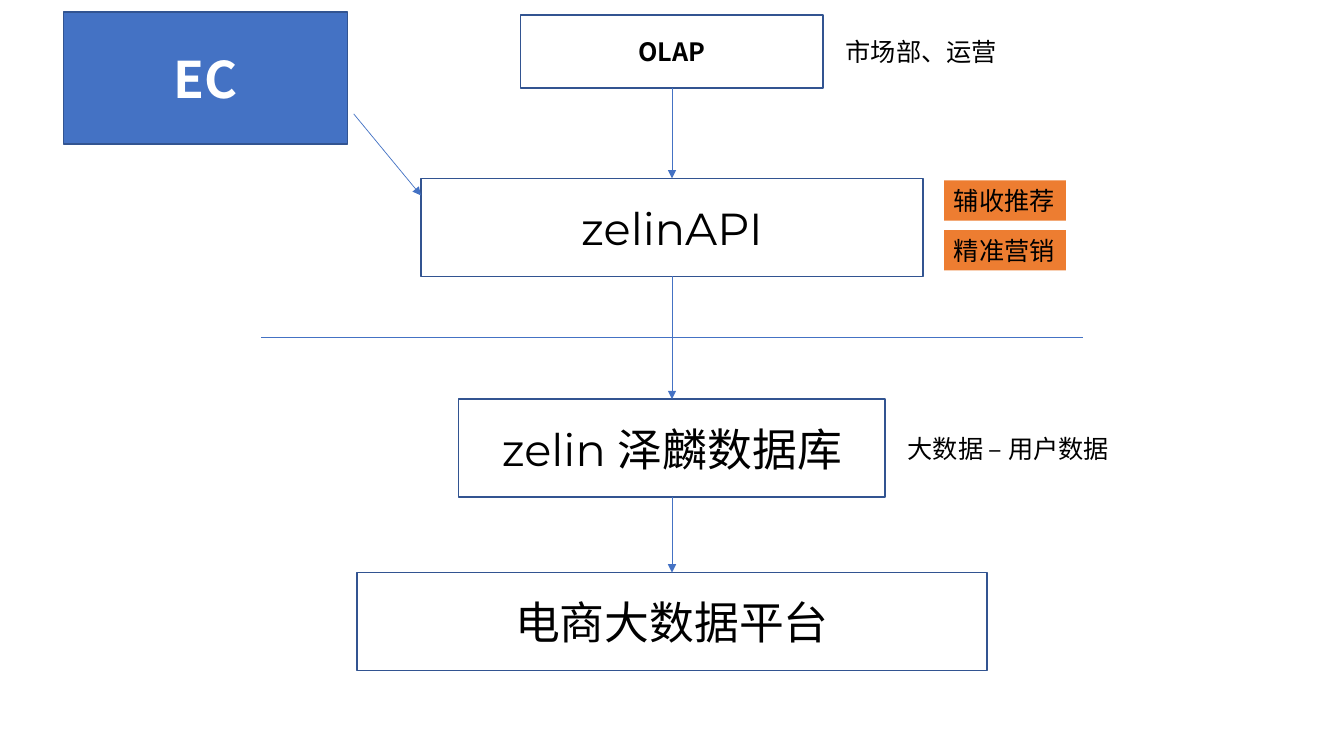
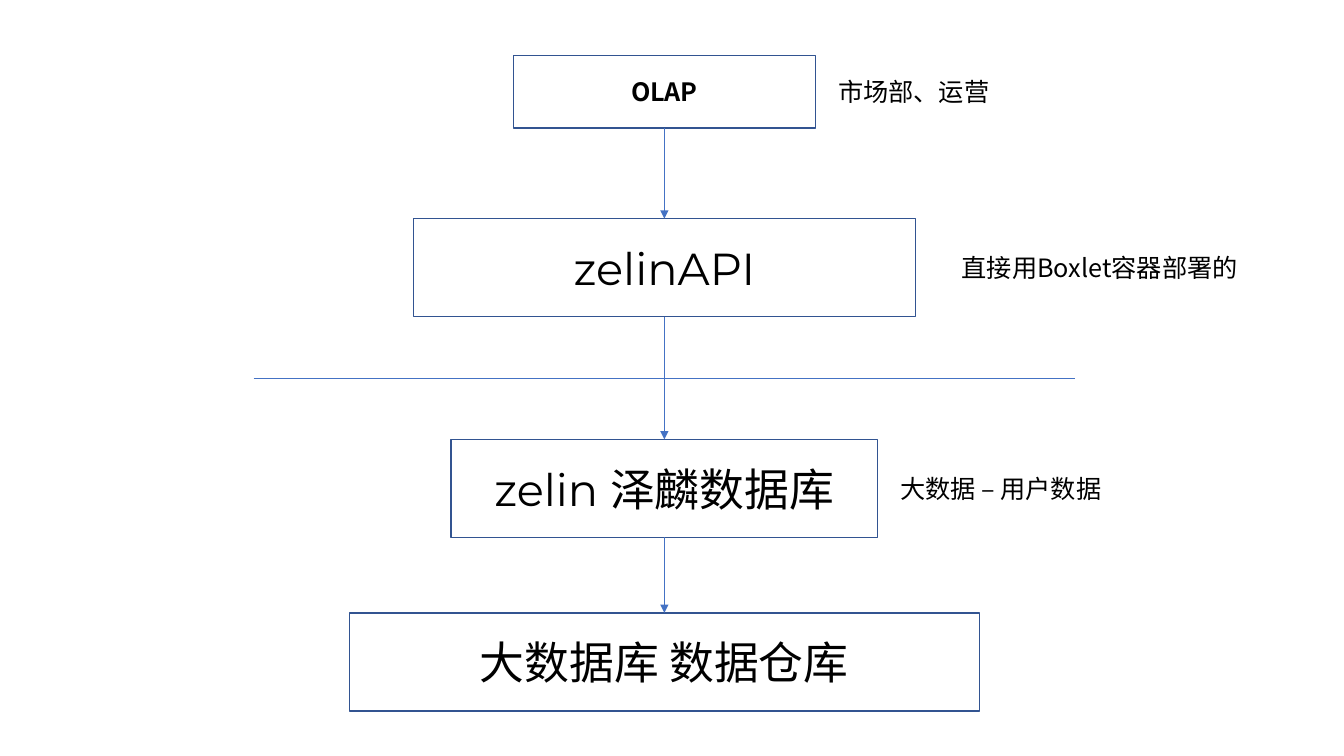
import pptx
import pptx.util
import pptx.dml.color
import pptx.enum.shapes
import pptx.enum.text
import pptx.oxml.ns
from lxml import etree

Pt = pptx.util.Pt
qn = pptx.oxml.ns.qn
MIDDLE = pptx.enum.text.MSO_ANCHOR.MIDDLE
CENTER = pptx.enum.text.PP_ALIGN.CENTER
LEFT = pptx.enum.text.PP_ALIGN.LEFT

BLACK, WHITE = "000000", "FFFFFF"
BLUE, NAVY, ORANGE = "4472C4", "325491", "ED7D31"
SANS, DISPLAY = "Noto Sans CJK SC", "Montserrat"
NOTE_HEIGHT = 28.8
TOP, BOTTOM = 0, 2  # connection sites of a rectangle

# Each tier: top within the stack, width, height
TIERS = {
    "olap": (0, 216, 52),
    "api": (116.6, 358.6, 70),
    "database": (274.3, 304.6, 70),
    "platform": (398.2, 450, 70),
}


def color(hex_code):
    """Turn a hex string into a colour."""
    return pptx.dml.color.RGBColor.from_string(hex_code)


def write(shape, text, size=18, font=SANS, ink=BLACK, bold=False,
          align=LEFT, anchor=pptx.enum.text.MSO_ANCHOR.TOP, wrap=True):
    """Put formatted text in a shape."""
    frame = shape.text_frame
    frame.word_wrap = wrap
    frame.vertical_anchor = anchor
    paragraph = frame.paragraphs[0]
    paragraph.alignment = align
    run = paragraph.add_run()
    run.text = text
    run.font.size = Pt(size)
    run.font.name = font
    run.font.bold = bold
    run.font.color.rgb = color(ink)
    east_asian = etree.SubElement(run.font._element, qn("a:ea"))
    east_asian.set("typeface", SANS)


def rectangle(slide, left, top, width, height, text, fill=None, line=NAVY,
              **text_format):
    """Draw a rectangle holding text."""
    shape = slide.shapes.add_shape(
        pptx.enum.shapes.MSO_SHAPE.RECTANGLE,
        Pt(left), Pt(top), Pt(width), Pt(height))
    shape.shadow.inherit = False
    if fill:
        shape.fill.solid()
        shape.fill.fore_color.rgb = color(fill)
    else:
        shape.fill.background()
    if line:
        shape.line.color.rgb = color(line)
        shape.line.width = Pt(1)
    else:
        shape.line.fill.background()
    write(shape, text, **text_format)
    return shape


def connector(slide, start=(0, 0), end=(0, 0), arrow=True):
    """Draw a thin blue line, with an arrowhead at its end if asked."""
    link = slide.shapes.add_connector(
        pptx.enum.shapes.MSO_CONNECTOR.STRAIGHT,
        *[Pt(value) for value in (*start, *end)])
    link.line.color.rgb = color(BLUE)
    link.line.width = Pt(0.5)
    properties = link._element.spPr
    if arrow:
        head = etree.SubElement(properties.get_or_add_ln(), qn("a:tailEnd"))
        head.set("type", "triangle")
    etree.SubElement(properties, qn("a:effectLst"))
    return link


def side_note(slide, tier, text, width, gap=9, **text_format):
    """Place a note to the right of a tier, centred on its height."""
    left = tier.left.pt + tier.width.pt + gap
    top = tier.top.pt + (tier.height.pt - NOTE_HEIGHT) / 2
    note = slide.shapes.add_textbox(
        Pt(left), Pt(top), Pt(width), Pt(NOTE_HEIGHT))
    write(note, text, **text_format)


def architecture(slide, center, top, platform_text):
    """Stack the four tiers around a centre line; return them by name."""
    large = {"size": 32, "font": DISPLAY}
    labels = {
        "olap": ("OLAP", {"bold": True}),
        "api": ("zelinAPI", large),
        "database": ("zelin 泽麟数据库", large),
        "platform": (platform_text, large),
    }
    tiers = {}
    for name, (offset, width, height) in TIERS.items():
        text, text_format = labels[name]
        tiers[name] = rectangle(
            slide, center - width / 2, top + offset, width, height, text,
            align=CENTER, anchor=MIDDLE, **text_format)

    stack = list(tiers.values())
    for upper, lower in zip(stack, stack[1:]):
        arrow = connector(slide)
        arrow.begin_connect(upper, BOTTOM)
        arrow.end_connect(lower, TOP)

    api_top, _, api_height = TIERS["api"]
    divider_y = top + (api_top + api_height + TIERS["database"][0]) / 2
    half = 293.5
    connector(slide, (center - half, divider_y), (center + half, divider_y),
              arrow=False)

    side_note(slide, tiers["olap"], "市场部、运营", 124, wrap=False)
    side_note(slide, tiers["database"], "大数据 – 用户数据", 162.7,
              font=DISPLAY, wrap=False)
    return tiers


def service_tags(slide, api):
    """Stack the orange service tags to the right of the API tier."""
    left = api.left.pt + api.width.pt + 15
    for row, text in enumerate(("辅收推荐", "精准营销")):
        rectangle(slide, left, api.top.pt + 1.4 + row * 35.6, 87.1, NOTE_HEIGHT,
                  text, fill=ORANGE, line=None, wrap=False)


def ec_client(slide, left, top, api):
    """Draw the EC client and its arrow to the API tier."""
    width, height = 203, 94.3
    rectangle(slide, left, top, width, height, "EC", fill=BLUE, size=36,
              ink=WHITE, bold=True, align=CENTER, anchor=MIDDLE)
    connector(slide, (left + width + 4.3, top + 72.8),
              (api.left.pt, api.top.pt + 12.2))


def main():
    """Build both slides and save them."""
    deck = pptx.Presentation()
    deck.slide_width, deck.slide_height = Pt(960), Pt(540)
    blank = deck.slide_layouts[6]

    commerce = deck.slides.add_slide(blank)
    tiers = architecture(commerce, 480, 10.8, "电商大数据平台")
    service_tags(commerce, tiers["api"])
    ec_client(commerce, 45.4, 8.6, tiers["api"])

    warehouse = deck.slides.add_slide(blank)
    tiers = architecture(warehouse, 474.6, 39.6, "大数据库 数据仓库")
    side_note(warehouse, tiers["api"], "直接用Boxlet容器部署的", 215, gap=26)

    deck.save("out.pptx")


main()
